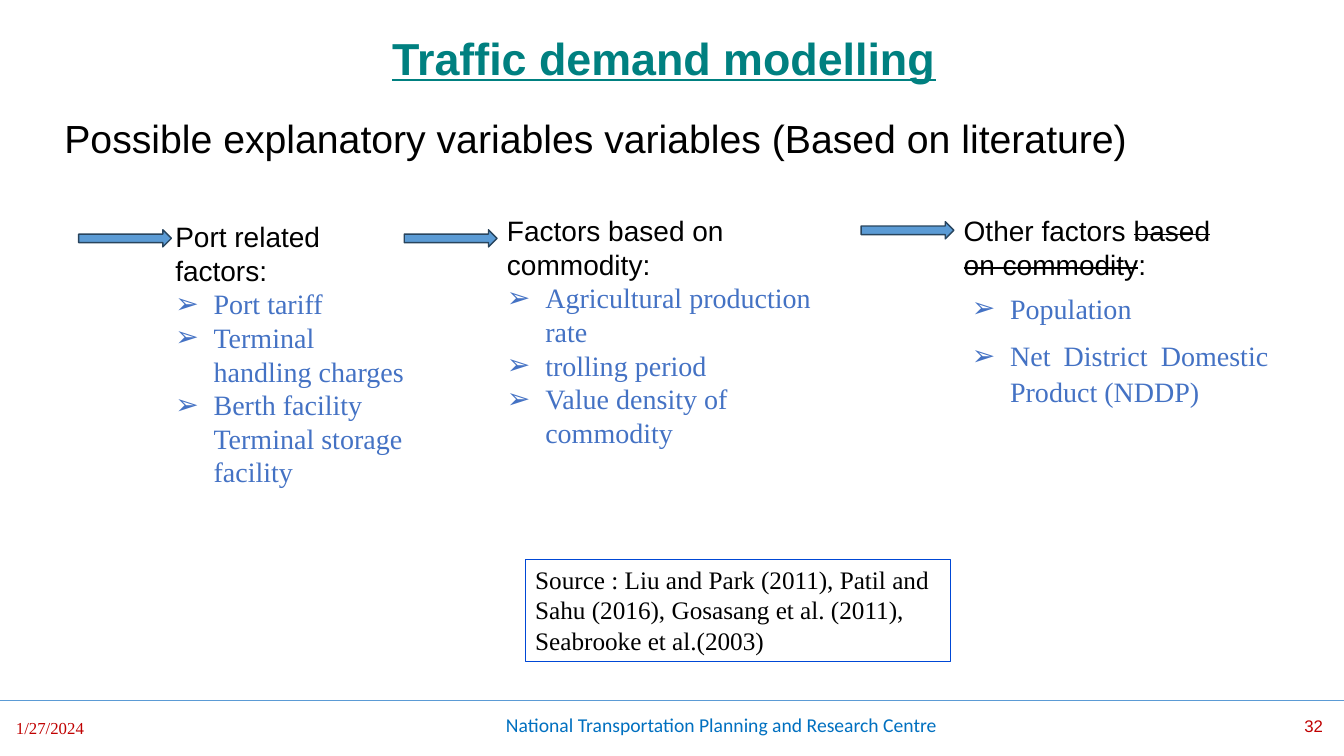
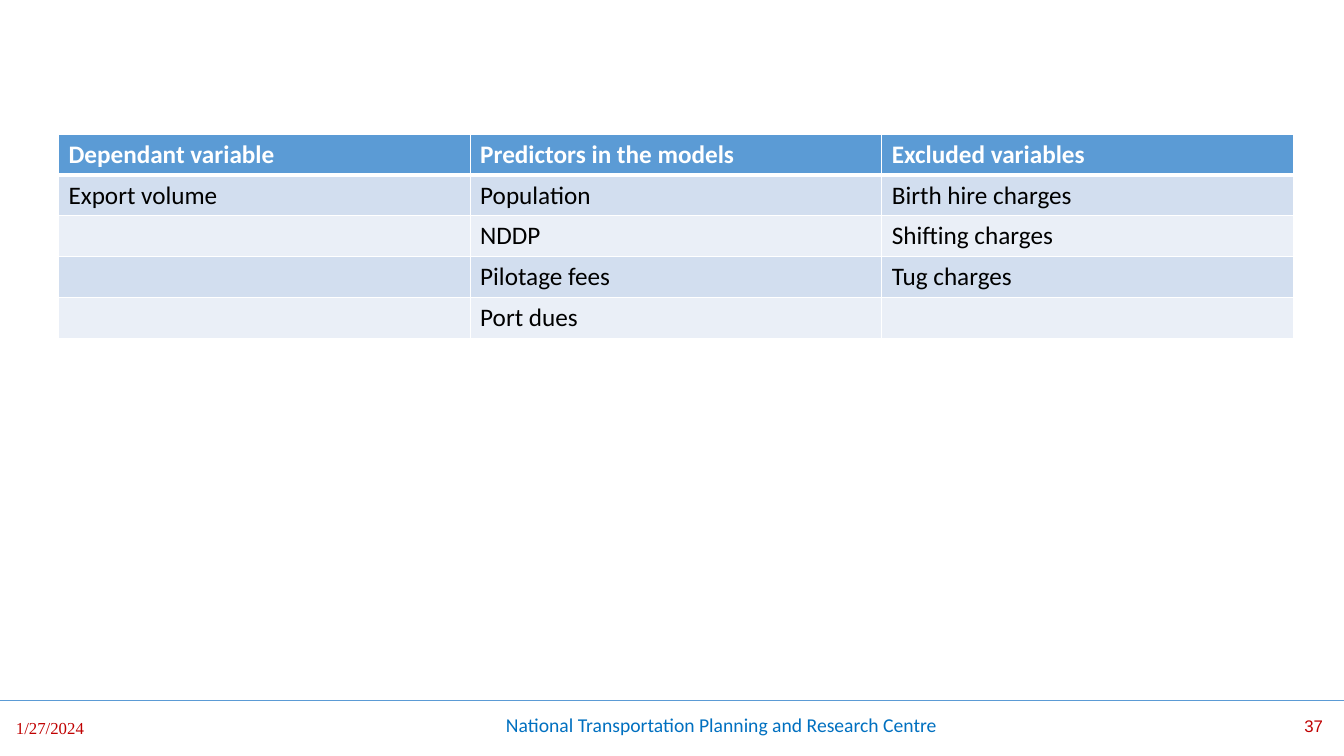
from dataclasses import dataclass

from lxml import etree
from pptx import Presentation
from pptx import util as u
from pptx.dml.color import RGBColor
from pptx.enum import shapes, text
from pptx.oxml import ns

PX = 9144  # 100 px to the inch
WIDTH, HEIGHT = 1333, 750
ALIGN = text.PP_ALIGN


@dataclass(frozen=True)
class Theme:
    sans: str = "Arial"
    serif: str = "Times New Roman"
    plain: str = "Calibri"
    title: str = "008080"
    ink: str = "000000"
    white: str = "FFFFFF"
    accent: str = "5B9BD5"
    arrow_edge: str = "28445D"
    factor: str = "4472C4"
    source_edge: str = "0047D6"
    stamp: str = "C00000"
    centre: str = "0070C0"
    bands: tuple = ("D2DEEF", "EAEFF7")
    title_size: int = 32
    lead_size: int = 28
    factor_size: int = 20
    body_size: int = 18
    centre_size: int = 14
    stamp_size: int = 12


T = Theme()


def px(*lengths):
    return [u.Emu(round(length * PX)) for length in lengths]


def rgb(value):
    return RGBColor.from_string(value)


def sub(parent, tag, **attributes):
    child = etree.SubElement(parent, ns.qn(tag))
    for key, value in attributes.items():
        child.set(key, str(value))
    return child


# Text
def write(paragraph, words, size=T.body_size, font=T.sans, color=T.ink, bold=False,
          underline=False, strike=False, align=None, line=None, after=None, bullet_at=None):
    """Add a run to a paragraph; bullet_at is the text indent in px."""
    if align is not None:
        paragraph.alignment = align
    if line:
        paragraph.line_spacing = line
    if after is not None:
        paragraph.space_after = u.Pt(after)
    if bullet_at:
        props = paragraph._p.get_or_add_pPr()
        props.set("marL", str(bullet_at * PX))
        props.set("indent", str(-38 * PX))
        sub(props, "a:buFont", typeface=T.sans)
        sub(props, "a:buChar", char="➢")
    run = paragraph.add_run()
    run.text = words
    run.font.size, run.font.name = u.Pt(size), font
    run.font.bold, run.font.underline = bold, underline
    run.font.color.rgb = rgb(color)
    if strike:
        run._r.get_or_add_rPr().set("strike", "sngStrike")


def text_box(slide, box, words=None, **style):
    frame = slide.shapes.add_textbox(*px(*box)).text_frame
    frame.word_wrap = True
    if words:
        write(frame.paragraphs[0], words, **style)
    return frame


def add_factors(frame, factors, bullet_at=38, **style):
    for number, factor in enumerate(factors):
        fresh = number == 0 and not frame.paragraphs[0].runs
        paragraph = frame.paragraphs[0] if fresh else frame.add_paragraph()
        write(paragraph, factor, size=T.factor_size, font=T.serif, color=T.factor,
              bullet_at=bullet_at, **style)


# Shapes
def outlined(slide, kind, box, edge, weight, fill=None):
    shape = slide.shapes.add_shape(kind, *px(*box))
    shape.shadow.inherit = False
    if fill:
        shape.fill.solid()
        shape.fill.fore_color.rgb = rgb(fill)
    else:
        shape.fill.background()
    shape.line.color.rgb = rgb(edge)
    shape.line.width = u.Pt(weight)
    return shape


def arrow(slide, left, top):
    outlined(slide, shapes.MSO_SHAPE.RIGHT_ARROW, (left, top, 92, 17),
             T.arrow_edge, 1, fill=T.accent)


def add_footer(slide, page):
    rule = slide.shapes.add_connector(shapes.MSO_CONNECTOR.STRAIGHT, *px(0, 695, WIDTH, 695))
    rule.line.color.rgb = rgb(T.accent)
    rule.line.width = u.Pt(0.5)
    sub(rule._element.spPr, "a:effectLst")
    text_box(slide, (6, 707, 137, 40), "1/27/2024", size=T.stamp_size,
             font=T.serif, color=T.stamp)
    text_box(slide, (492, 702, 592, 40), "National Transportation Planning and Research Centre",
             size=T.centre_size, font=T.plain, color=T.centre)
    text_box(slide, (1022, 705, 300, 40), str(page), size=T.stamp_size,
             color=T.stamp, align=ALIGN.RIGHT)


def add_title(slide, words):
    title = slide.shapes.title
    title.left, title.top, title.width, title.height = px(92, 3, 1133, 114)
    frame = title.text_frame
    frame.auto_size = text.MSO_AUTO_SIZE.NONE
    frame.vertical_anchor = text.MSO_ANCHOR.MIDDLE
    write(frame.paragraphs[0], words, size=T.title_size, color=T.title, bold=True,
          underline=True, align=ALIGN.CENTER, line=0.9)


# Table
def border(cell, bottom=1):
    props = cell._tc.get_or_add_tcPr()
    for side, weight in (("L", 1), ("R", 1), ("T", 1), ("B", bottom)):
        edge = sub(props, f"a:ln{side}", w=u.Pt(weight))
        sub(sub(edge, "a:solidFill"), "a:srgbClr", val=T.white)


def add_variable_table(slide, box, rows):
    table = slide.shapes.add_table(len(rows), len(rows[0]), *px(*box)).table
    table.horz_banding = False
    for r, row in enumerate(rows):
        header = r == 0
        for c, words in enumerate(row):
            cell = table.cell(r, c)
            border(cell, bottom=3 if header else 1)
            cell.fill.solid()
            cell.fill.fore_color.rgb = rgb(T.accent if header else T.bands[(r - 1) % 2])
            if words:
                write(cell.text_frame.paragraphs[0], words, font=T.plain, bold=header,
                      color=T.white if header else T.ink)


# Slides
def build_explanatory_variables(deck):
    slide = deck.slides.add_slide(deck.slide_layouts[5])
    add_footer(slide, 32)
    add_title(slide, "Traffic demand modelling")
    text_box(slide, (54, 114, 1225, 60),
             "Possible explanatory variables variables (Based on literature)",
             size=T.lead_size, line=0.9)

    for left, top in ((78, 228), (401, 228), (854, 220)):
        arrow(slide, left, top)

    columns = (
        ((164, 213, 253, 313), "Port related factors:",
         ("Port tariff", "Terminal handling charges",
          "Berth facility Terminal storage facility")),
        ((493, 207, 335, 246), "Factors based on commodity:",
         ("Agricultural production rate", "trolling period", "Value density of commodity")),
    )
    for box, heading, factors in columns:
        add_factors(text_box(slide, box, heading, size=T.factor_size), factors)

    other = text_box(slide, (946, 207, 275, 77)).paragraphs[0]
    for words, struck in (("Other factors ", False), ("based on commodity", True), (":", False)):
        write(other, words, size=T.factor_size, strike=struck)
    add_factors(text_box(slide, (904, 282, 364, 175)),
                ("Population", "Net District Domestic Product (NDDP)"),
                bullet_at=88, align=ALIGN.JUSTIFY, line=1.07, after=8)

    source = outlined(slide, shapes.MSO_SHAPE.RECTANGLE, (521, 555, 422, 101),
                      T.source_edge, 0.75).text_frame
    source.word_wrap = True
    source.vertical_anchor = text.MSO_ANCHOR.TOP
    write(source.paragraphs[0],
          "Source : Liu and Park (2011), Patil and Sahu (2016), "
          "Gosasang et al. (2011), Seabrooke et al.(2003)",
          font=T.serif, align=ALIGN.LEFT)


def build_model_variables(deck):
    slide = deck.slides.add_slide(deck.slide_layouts[6])
    add_footer(slide, 37)
    add_variable_table(slide, (58, 133, 1225, 203), (
        ("Dependant variable", "Predictors in the models", "Excluded variables"),
        ("Export volume", "Population", "Birth hire charges"),
        ("", "NDDP", "Shifting charges"),
        ("", "Pilotage fees", "Tug charges"),
        ("", "Port dues", ""),
    ))


def main():
    deck = Presentation()
    deck.slide_width, deck.slide_height = px(WIDTH, HEIGHT)
    build_explanatory_variables(deck)
    build_model_variables(deck)
    deck.save("out.pptx")


if __name__ == "__main__":
    main()
